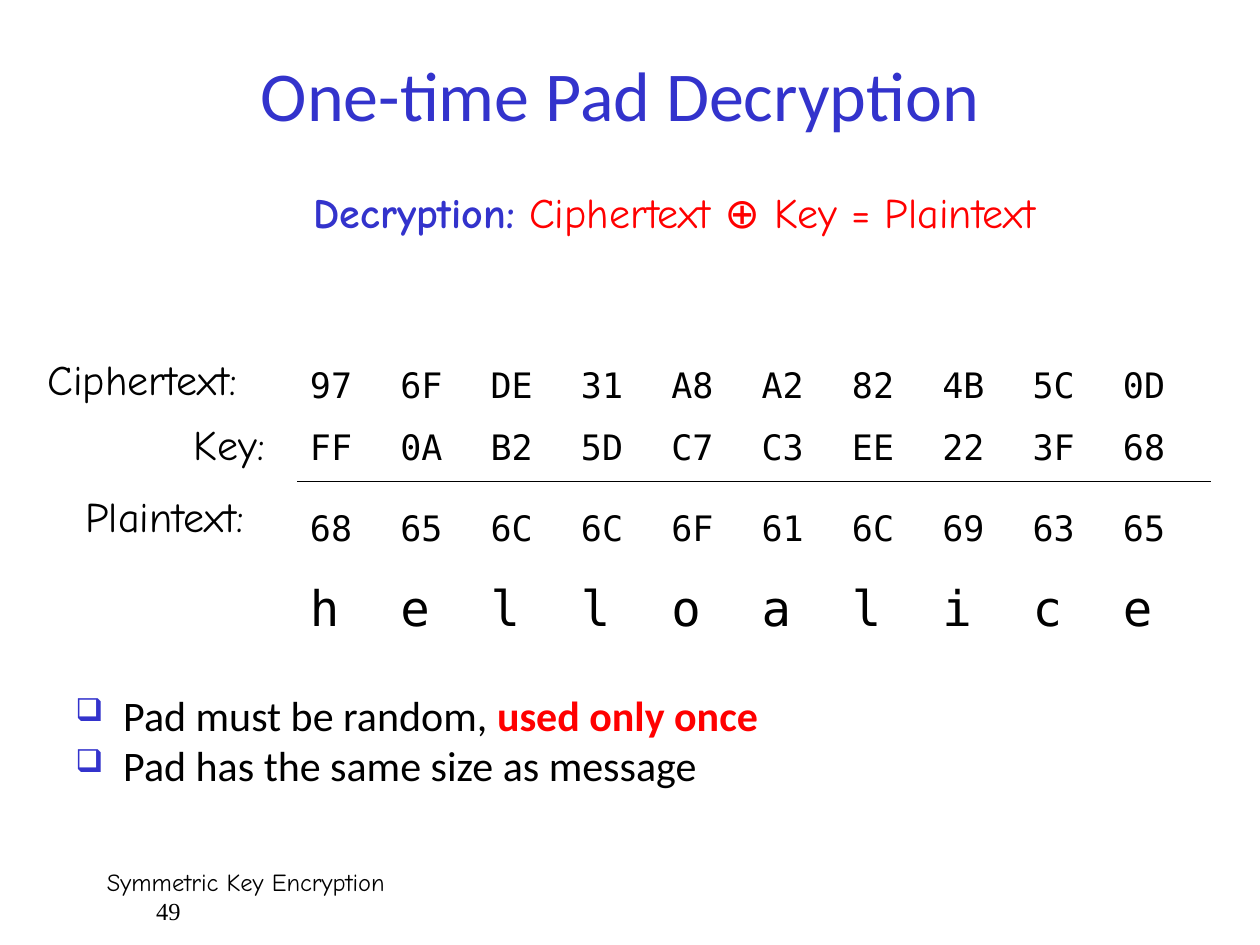
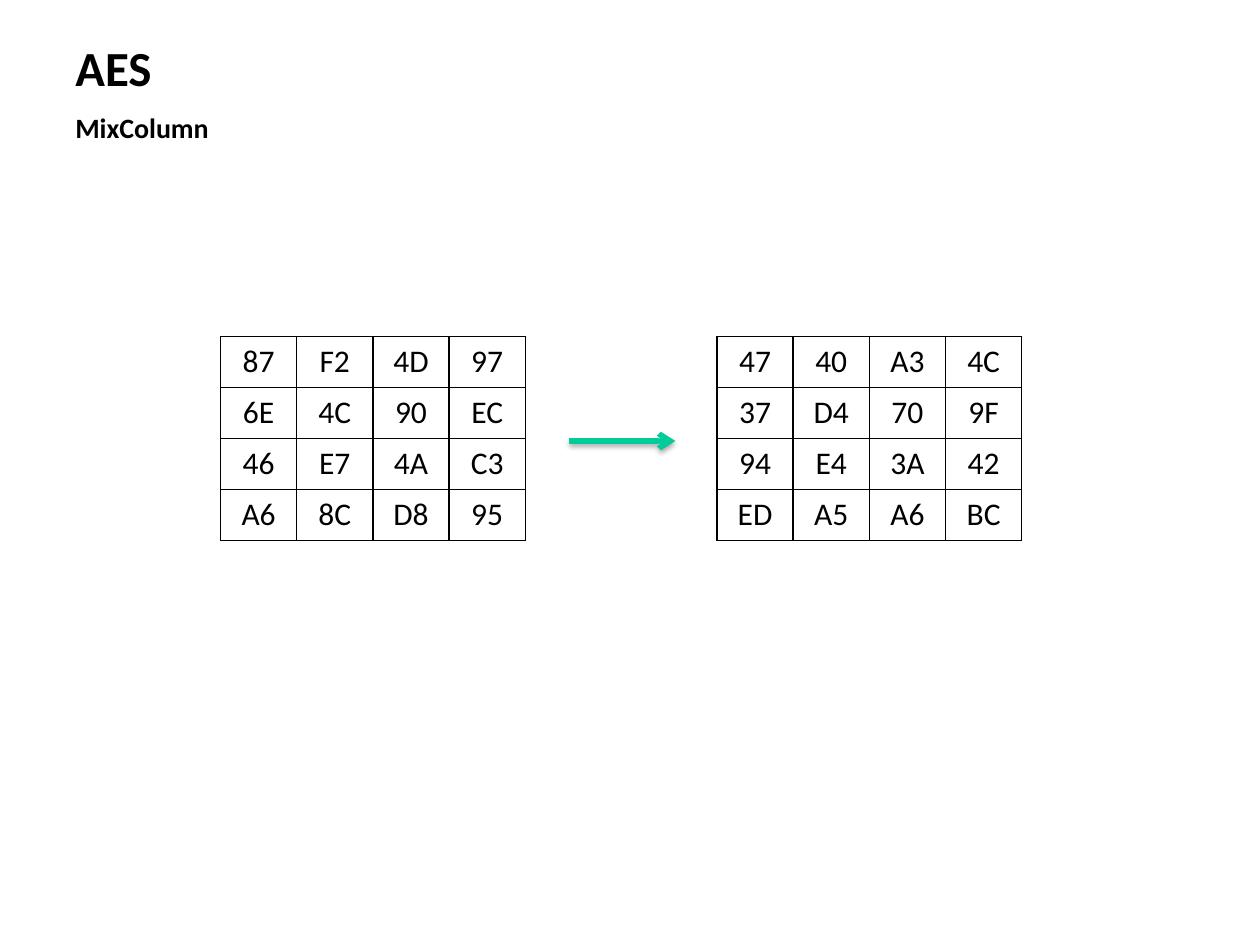
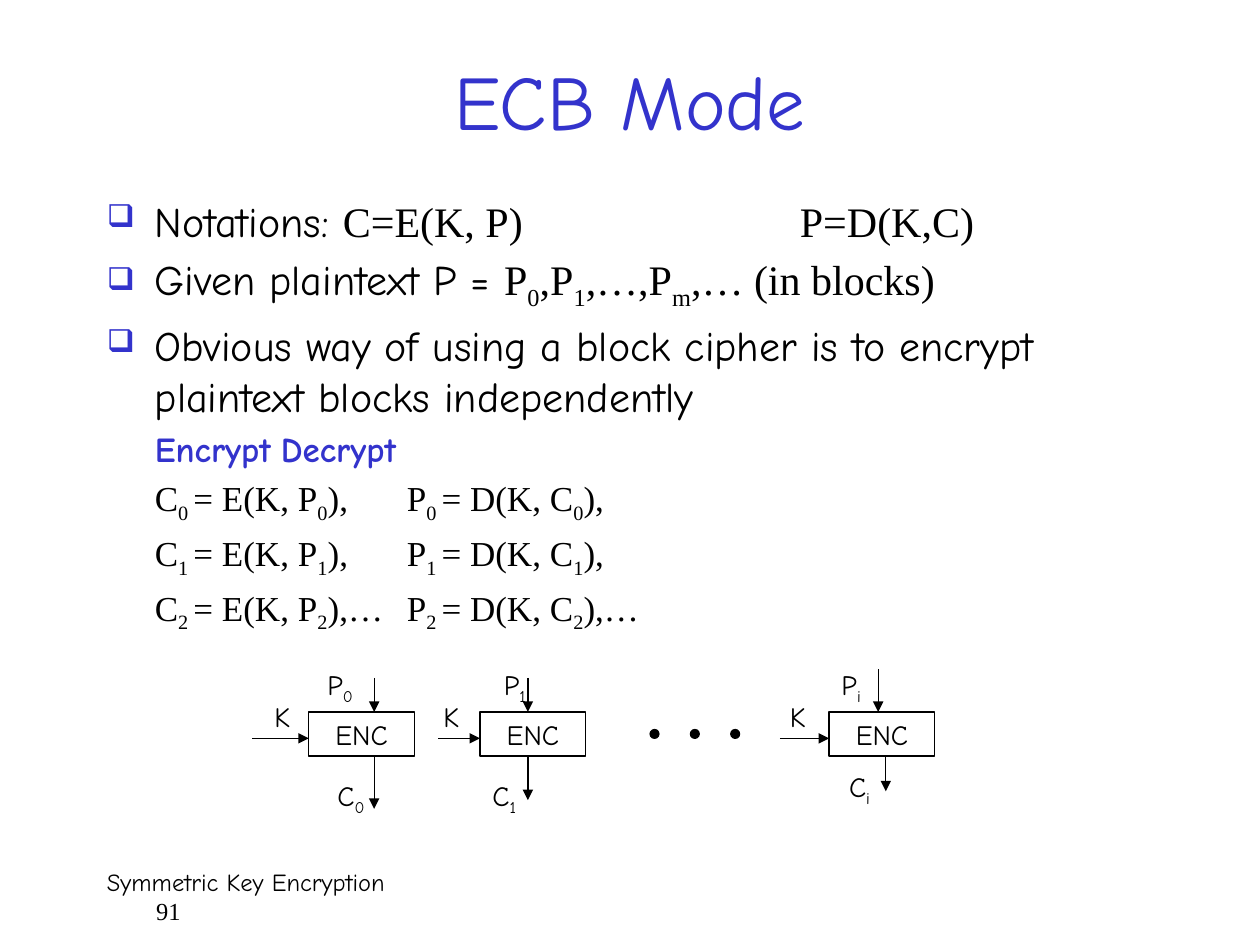
from dataclasses import dataclass
from lxml.etree import SubElement
from pptx import Presentation
from pptx.dml.color import RGBColor
from pptx.enum.shapes import MSO_CONNECTOR as Connector, MSO_SHAPE as Preset
from pptx.enum.text import MSO_ANCHOR as Anchor, MSO_AUTO_SIZE as AutoSize, PP_ALIGN as Align
from pptx.oxml.ns import qn
from pptx.util import Inches, Pt


@dataclass(frozen=True)
class Theme:
    black: str = "000000"
    blue: str = "3333CC"
    red: str = "FF0000"
    green: str = "00CC99"
    sans: str = "Calibri"
    comic: str = "Comic Neue"
    mono: str = "DejaVu Sans Mono"
    serif: str = "Times New Roman"
    hairline: float = 0.75
    subscript: str = "-25000"


theme = Theme()


def style(name, size, color=theme.black, bold=False):
    return {"name": name, "size": Pt(size), "bold": bold, "color": color}


STYLES = {
    "title": style(theme.sans, 40, theme.blue),
    "comic title": style(theme.comic, 44, theme.blue),
    "heading": style(theme.sans, 28, bold=True),
    "subheading": style(theme.sans, 16, bold=True),
    "footer": style(theme.comic, 14),
    "page": style(theme.serif, 14),
    "bullet": style(theme.sans, 24),
    "warning": style(theme.sans, 24, theme.red, True),
    "label": style(theme.comic, 24),
    "term": style(theme.comic, 24, theme.blue, True),
    "formula": style(theme.comic, 24, theme.red),
    "math": style(theme.serif, 24),
    "column head": style(theme.comic, 20, theme.blue, True),
    "equation": style(theme.serif, 20),
    "byte": style(theme.mono, 20),
    "letter": style(theme.mono, 28),
    "matrix": style(theme.sans, 18),
    "diagram": style(theme.comic, 16),
}

FOOTER = "Symmetric Key Encryption"

CIPHERTEXT = "97 6F DE 31 A8 A2 82 4B 5C 0D".split()
KEY = "FF 0A B2 5D C7 C3 EE 22 3F 68".split()
PLAINTEXT = "68 65 6C 6C 6F 61 6C 69 63 65".split()
MESSAGE = list("helloalice")
PAD_TABLES = [
    (2.17, [(0.58, "byte", [""] * 10), (0.64, "byte", CIPHERTEXT)]),
    (3.24, [(0.64, "byte", KEY), (0.64, "byte", PLAINTEXT), (0.64, "letter", MESSAGE)]),
]
PAD_LABELS = [
    (0.28, 2.76, 2, "Ciphertext:"),
    (1.44, 3.27, 0.86, "Key:"),
    (0.58, 3.84, 1.7, "Plaintext:"),
]
PAD_RULES = [
    [("Pad must be random, ", "bullet"), ("used only once", "warning")],
    [("Pad has the same size as message", "bullet")],
]

MATRICES = [
    (1.75, ["87 F2 4D 97", "6E 4C 90 EC", "46 E7 4A C3", "A6 8C D8 95"]),
    (5.69, ["47 40 A3 4C", "37 D4 70 9F", "94 E4 3A 42", "ED A5 A6 BC"]),
]

ECB_POINTS = [
    [("Notations: ", "label"), ("C=E(K, P)\tP=D(K,C)", "math")],
    [("Given plaintext P = ", "label"), ("P~0~,P~1~,…,P~m~,… (in blocks)", "math")],
    [("Obvious way of using a block cipher is to encrypt plaintext blocks independently", "label")],
]
ECB_HEADS = [[("\tEncrypt\tDecrypt", "column head")]]
ECB_EQUATIONS = [
    [(f"\tC~{index} ~= E(K, P~{index}~{end}\tP~{index} ~= D(K, C~{index}~{end}", "equation")]
    for index, end in (("0", "),"), ("1", "),"), ("2", "),…"))
]
ECB_SECTIONS = [(ECB_POINTS, True, 5.5), (ECB_HEADS, False, 4.38), (ECB_EQUATIONS, False, 3.38)]

BLOCK_TOP, BLOCK_WIDTH, BLOCK_HEIGHT = 5.65, 0.84, 0.35
BLOCKS = [
    {"index": "0", "left": 2.45, "key": (2, 2.08), "input": (2.97, 5.38, 2.5),
     "output": (2.97, 6.42, 2.58, 6.13)},
    {"index": "1", "left": 3.81, "key": (3.48, 3.42), "input": (4.19, 5.38, 3.9),
     "output": (4.19, 6.35, 3.81, 6.13)},
    {"index": "i", "left": 6.58, "key": (6.19, 6.17), "input": (6.97, 5.31, 6.58),
     "output": (7.03, 6.28, 6.64, 6.06)},
]


def color(value):
    return RGBColor.from_string(value)


def box(*lengths):
    return [Inches(length) for length in lengths]


def write(paragraph, runs):
    for text, style_name in runs:
        for position, piece in enumerate(text.split("~")):
            if not piece:
                continue
            run = paragraph.add_run()
            run.text = piece
            for attribute, value in STYLES[style_name].items():
                if attribute == "color":
                    run.font.color.rgb = color(value)
                else:
                    setattr(run.font, attribute, value)
            if position % 2:
                run.font._element.set("baseline", theme.subscript)


def add_text(slide, at, paragraphs, wrap=True, **frame_format):
    frame = slide.shapes.add_textbox(*box(*at)).text_frame
    settings = {"word_wrap": wrap}
    if not wrap:
        settings["auto_size"] = AutoSize.SHAPE_TO_FIT_TEXT
    for attribute, value in {**settings, **frame_format}.items():
        setattr(frame, attribute, value)
    for index, runs in enumerate(paragraphs):
        paragraph = frame.paragraphs[0] if index == 0 else frame.add_paragraph()
        write(paragraph, runs)
    return frame.paragraphs


def add_label(slide, left, top, width, height, text, style_name):
    add_text(slide, (left, top, width, height), [[(text, style_name)]], wrap=False)


def add_title(slide, at, text, style_name):
    paragraphs = add_text(slide, at, [[(text, style_name)]], vertical_anchor=Anchor.MIDDLE)
    paragraphs[0].alignment = Align.CENTER


def add_footer(slide, number):
    lines = add_text(slide, (0.75, 6.83, 8.58, 0.5), [[(FOOTER, "footer")], [(number, "page")]])
    lines[1]._p.get_or_add_pPr().set("marL", str(Inches(0.39)))


def hang(paragraph, bullet=True, tab=None):
    properties = paragraph._p.get_or_add_pPr()
    properties.set("marL", str(Inches(0.38)))
    properties.set("indent", str(Inches(-0.38)))
    if bullet:
        bullet_color = SubElement(properties, qn("a:buClr"))
        SubElement(bullet_color, qn("a:srgbClr"), val=theme.blue)
        SubElement(properties, qn("a:buSzPct"), val="75000")
        SubElement(properties, qn("a:buChar"), char="❑")
    else:
        SubElement(properties, qn("a:buNone"))
    if tab:
        tabs = SubElement(properties, qn("a:tabLst"))
        SubElement(tabs, qn("a:tab"), pos=str(Inches(tab)), algn="l")


def add_border(cell):
    properties = cell._tc.get_or_add_tcPr()
    for index, side in enumerate(("lnL", "lnR", "lnT", "lnB")):
        line = SubElement(properties, qn(f"a:{side}"), w=str(Pt(1)))
        fill = SubElement(line, qn("a:solidFill"))
        SubElement(fill, qn("a:srgbClr"), val=theme.black)
        properties.insert(index, line)


def add_grid(slide, left, top, width, rows, bordered=False, **cell_format):
    columns = len(rows[0][2])
    height = sum(row_height for row_height, _, _ in rows)
    table = slide.shapes.add_table(len(rows), columns, *box(left, top, width, height)).table
    table.first_row = table.horz_banding = False
    for column in table.columns:
        column.width = Inches(width / columns)
    for row_index, (row_height, style_name, values) in enumerate(rows):
        table.rows[row_index].height = Inches(row_height)
        for column_index, value in enumerate(values):
            cell = table.cell(row_index, column_index)
            cell.fill.background()
            paragraph = cell.text_frame.paragraphs[0]
            write(paragraph, [(value, style_name)])
            if bordered:
                add_border(cell)
                paragraph.alignment = Align.CENTER
            for attribute, setting in cell_format.items():
                setattr(cell, attribute, setting)


def add_line(slide, start, end, head=None, line_color=theme.black, width=theme.hairline):
    connector = slide.shapes.add_connector(Connector.STRAIGHT, *box(*start, *end))
    connector.line.color.rgb = color(line_color)
    connector.line.width = Pt(width)
    if head:
        SubElement(connector.line._get_or_add_ln(), qn("a:tailEnd"), type=head)
    return SubElement(connector._element.spPr, qn("a:effectLst"))


def add_shadow(effects):
    shadow = SubElement(effects, qn("a:outerShdw"), blurRad=str(Pt(3.1)), dist=str(Pt(1.8)),
                        dir="5400000", rotWithShape="0")
    shade = SubElement(shadow, qn("a:srgbClr"), val=theme.black)
    SubElement(shade, qn("a:alpha"), val="35000")


def add_outline(slide, preset, at, filled=False):
    shape = slide.shapes.add_shape(preset, *box(*at))
    shape.shadow.inherit = False
    if filled:
        shape.fill.solid()
        shape.fill.fore_color.rgb = color(theme.black)
    else:
        shape.fill.background()
    shape.line.color.rgb = color(theme.black)
    shape.line.width = Pt(theme.hairline)
    return shape


def build_one_time_pad(slide):
    add_footer(slide, "49")
    for top, rows in PAD_TABLES:
        add_grid(slide, 2.36, top, 7.17, rows, vertical_anchor=Anchor.MIDDLE)
    formula = [("Decryption:", "term"), (" Ciphertext ⊕ Key = Plaintext", "formula")]
    add_text(slide, (2.39, 1.43, 6.65, 0.57), [formula], wrap=False)
    add_line(slide, (2.36, 3.82), (9.61, 3.82))
    for left, top, width, text in PAD_LABELS:
        add_label(slide, left, top, width, 0.57, text, "label")
    for paragraph in add_text(slide, (0.5, 5.42, 8.83, 1), PAD_RULES):
        hang(paragraph)
    add_title(slide, (0.67, 0.33, 8.5, 0.83), "One-time Pad Decryption", "title")


def build_mix_column(slide):
    add_label(slide, 0.5, 0.25, 0.81, 0.57, "AES", "heading")
    add_text(slide, (0.5, 0.83, 9.5, 0.37), [[("MixColumn", "subheading")]])
    for left, lines in MATRICES:
        rows = [(0.405, "matrix", line.split()) for line in lines]
        add_grid(slide, left, 2.67, 2.42, rows, bordered=True)
    add_shadow(add_line(slide, (4.52, 3.5), (5.36, 3.5), "arrow", theme.green, 3))


def add_block(slide, block):
    index, left = block["index"], block["left"]
    key_start, key_label = block["key"]
    input_x, input_top, input_label = block["input"]
    output_x, output_bottom, output_label, output_label_top = block["output"]
    shape = add_outline(slide, Preset.RECTANGLE, (left, BLOCK_TOP, BLOCK_WIDTH, BLOCK_HEIGHT))
    paragraph = shape.text_frame.paragraphs[0]
    paragraph.alignment = Align.CENTER
    write(paragraph, [("ENC", "diagram")])
    for label_left, top, text in (
        (key_label, 5.5, "K"),
        (input_label, 5.25, f"P~{index}"),
        (output_label, output_label_top, f"C~{index}"),
    ):
        add_label(slide, label_left, top, 0.5, 0.37, text, "diagram")
    for start, end in (
        ((key_start, 5.86), (left, 5.86)),
        ((input_x, input_top), (input_x, BLOCK_TOP)),
        ((output_x, BLOCK_TOP + BLOCK_HEIGHT), (output_x, output_bottom)),
    ):
        add_line(slide, start, end, "triangle")


def build_ecb_mode(slide):
    add_footer(slide, "91")
    add_title(slide, (0.75, 0.25, 8.5, 1.08), "ECB Mode", "comic title")
    lines = [(runs, bullet, tab) for section, bullet, tab in ECB_SECTIONS for runs in section]
    paragraphs = add_text(slide, (0.75, 1.5, 8.58, 3.67), [runs for runs, _, _ in lines])
    for index, (paragraph, (_, bullet, tab)) in enumerate(zip(paragraphs, lines)):
        hang(paragraph, bullet, tab)
        if index:
            paragraph.space_before = Pt(0.2 * paragraph.runs[0].font.size.pt)
    for block in BLOCKS:
        add_block(slide, block)
    for dot in range(3):
        add_outline(slide, Preset.OVAL, (5.16 + 0.32 * dot, 5.79, 0.07, 0.07), filled=True)


def main():
    presentation = Presentation()
    presentation.slide_width, presentation.slide_height = box(10, 7.5)
    for build in (build_one_time_pad, build_mix_column, build_ecb_mode):
        build(presentation.slides.add_slide(presentation.slide_layouts[6]))
    presentation.save("out.pptx")


if __name__ == "__main__":
    main()
